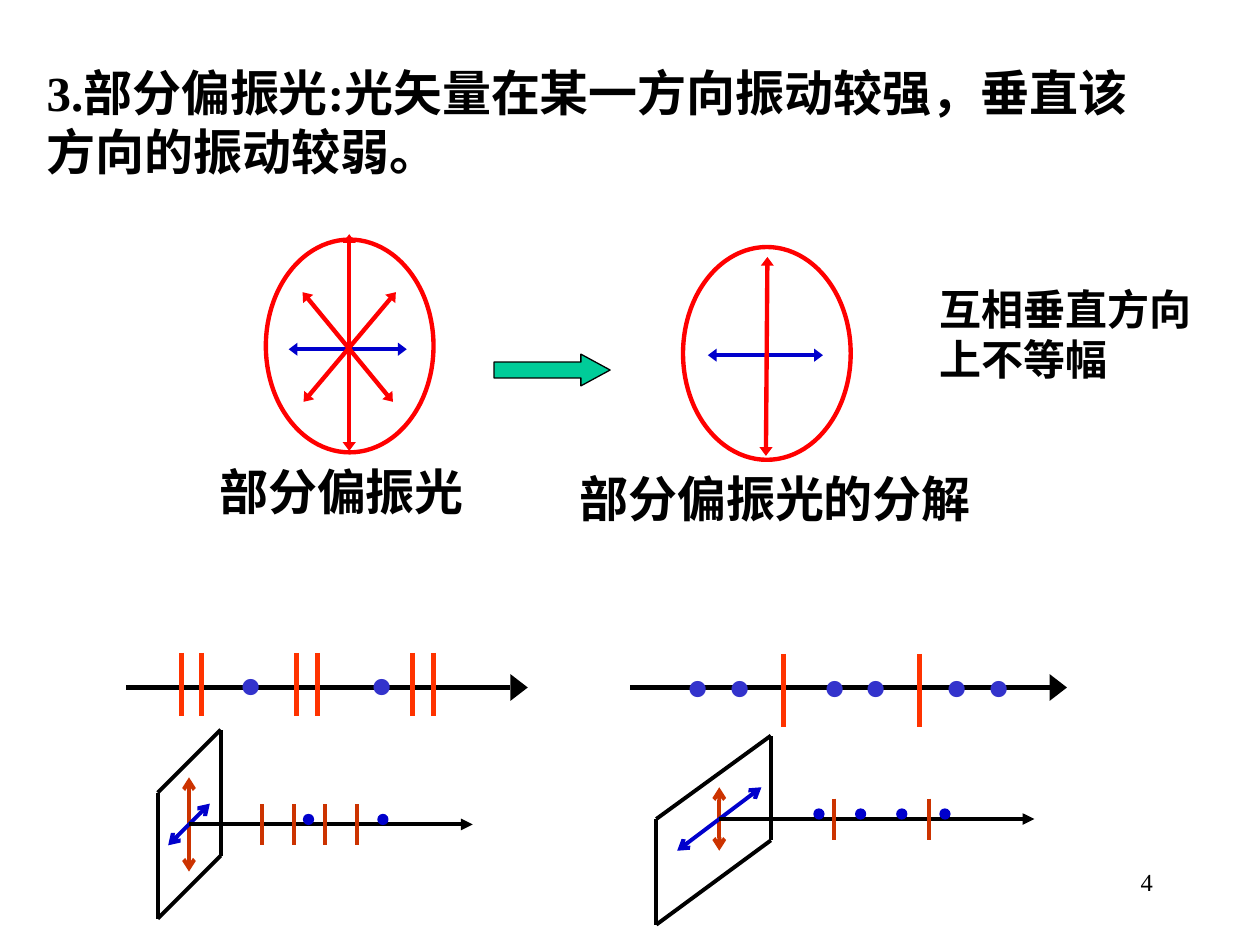
"""Build a slide on partially polarized light and its decomposition."""
from lxml import etree
from pptx import Presentation
from pptx import util as u
from pptx.dml.color import RGBColor
from pptx.enum import shapes, text
from pptx.oxml import ns

COLORS = {
    "black": "000000", "red": "FF0000", "blue": "0000CC", "violet": "3333CC",
    "orange": "FF3300", "rust": "CC3300", "green": "00CC99",
}
LATIN = "Times New Roman"
CHINESE = "Noto Sans CJK SC"


def rgb(color):
    return RGBColor.from_string(COLORS[color])


def add_line(slide, start, end, color, width, ends="", head="triangle", length="med"):
    """Draw a line; ends may name headEnd and tailEnd."""
    line = slide.shapes.add_connector(
        shapes.MSO_CONNECTOR.STRAIGHT, *(u.Cm(v) for v in (*start, *end)))
    line.line.color.rgb = rgb(color)
    line.line.width = u.Pt(width)
    for end_name in ends.split():
        etree.SubElement(line.get_or_add_ln(), ns.qn(f"a:{end_name}"),
                         type=head, w="med", len=length)
    etree.SubElement(line._element.spPr, ns.qn("a:effectLst"))


def add_vector(slide, start, end, color):
    add_line(slide, start, end, color, 2.5, "headEnd tailEnd", length="sm")


def add_ticks(slide, positions, top, bottom, color, width):
    for x in positions:
        add_line(slide, (x, top), (x, bottom), color, width)


def add_preset(slide, kind, box, fill=None, outline="black", width=0.75):
    preset = slide.shapes.add_shape(kind, *(u.Cm(v) for v in box))
    preset.shadow.inherit = False
    if fill:
        preset.fill.solid()
        preset.fill.fore_color.rgb = rgb(fill)
    else:
        preset.fill.background()
    preset.line.color.rgb = rgb(outline)
    preset.line.width = u.Pt(width)
    return preset


def add_polygon(slide, points):
    start, *others = [(u.Cm(x), u.Cm(y)) for x, y in points]
    builder = slide.shapes.build_freeform(*start)
    builder.add_line_segments(others, close=True)
    polygon = builder.convert_to_shape()
    polygon.shadow.inherit = False
    polygon.fill.solid()
    polygon.fill.fore_color.rgb = rgb("black")
    polygon.line.fill.background()


def add_text(slide, box, words, size, color="black", bold=True, latin=LATIN,
             chinese=True, align=text.PP_ALIGN.LEFT, wrap=True):
    """Add a one-paragraph text box; an unwrapped one has no insets."""
    frame = slide.shapes.add_textbox(*(u.Cm(v) for v in box)).text_frame
    frame.word_wrap = wrap
    if not wrap:
        frame.margin_left = frame.margin_right = 0
        frame.margin_top = frame.margin_bottom = 0
    paragraph = frame.paragraphs[0]
    paragraph.text = words
    paragraph.alignment = align
    font = paragraph.font
    font.size, font.bold, font.name = u.Pt(size), bold, latin
    font.color.rgb = rgb(color)
    if chinese:
        properties = paragraph._p.get_or_add_pPr().get_or_add_defRPr()
        etree.SubElement(properties, ns.qn("a:ea"), typeface=CHINESE)


def add_light_circle(slide, left, top):
    add_preset(slide, shapes.MSO_SHAPE.OVAL, (left, top, 3.38, 4.29),
               outline="red", width=2.5)


def add_beam(slide, left, right, dots, dot_top, ticks, tick_top, tick_bottom):
    """Draw a thick ray with dots and ticks for its two vibrations."""
    axis = 13.86
    add_polygon(slide, [(left, axis - 0.06), (left, axis + 0.06),
                        (right, axis + 0.06), (right, axis - 0.06)])
    add_polygon(slide, [(right, axis + 0.27), (right + 0.35, axis), (right, axis - 0.27)])
    for x in dots:
        add_text(slide, (x, dot_top, 0.66, 2.41), "·", 57, "violet",
                 chinese=False, wrap=False)
    add_ticks(slide, ticks, tick_top, tick_bottom, "orange", 3)


def add_wavefront(slide, corners, center, reach, oblique, axis_end, ticks, dots):
    """Draw a tilted plane, its two vibrations and the ray leaving it."""
    for start, end in zip(corners, corners[1:] + corners[:1]):
        add_line(slide, start, end, "black", 2.25)
    x, y = center
    run, rise = oblique
    both = "headEnd tailEnd"
    add_line(slide, (x, y - reach), (x, y + reach), "rust", 2.25, both, "arrow")
    add_line(slide, (x + run, y - rise), (x - run, y + rise), "blue", 2.25, both, "arrow")
    add_line(slide, center, (axis_end, y), "black", 2.25, "tailEnd")
    add_ticks(slide, ticks, y - 0.41, y + 0.42, "rust", 2.25)
    for left in dots:
        add_preset(slide, shapes.MSO_SHAPE.OVAL, (left, y - 0.2, 0.2, 0.2), "blue", "blue")


def main():
    deck = Presentation()
    deck.slide_width, deck.slide_height = u.Cm(25.4), u.Cm(19.05)
    slide = deck.slides.add_slide(deck.slide_layouts[6])

    add_text(slide, (0.69, 1.14, 23.06, 2.64),
             "3.部分偏振光:光矢量在某一方向振动较强，垂直该方向的振动较弱。", 28)

    add_vector(slide, (5.82, 7.04), (8.2, 7.04), "blue")
    for start, end in (((7.04, 4.72), (7.04, 9.09)),
                       ((6.12, 8.1), (7.98, 5.89)),
                       ((7.92, 8.1), (6.1, 5.89))):
        add_vector(slide, start, end, "red")
    add_light_circle(slide, 5.36, 4.83)

    add_vector(slide, (14.27, 7.16), (16.59, 7.16), "blue")
    add_vector(slide, (15.47, 5.18), (15.44, 9.19), "red")
    add_light_circle(slide, 13.77, 4.98)

    for box, caption in (((4.17, 9.17, 5.92, 1.57), "部分偏振光"),
                         ((11.43, 9.32, 9.09, 1.57), "部分偏振光的分解")):
        add_text(slide, box, caption, 28, latin=CHINESE, align=text.PP_ALIGN.JUSTIFY)

    becomes = add_preset(slide, shapes.MSO_SHAPE.RIGHT_ARROW,
                         (9.96, 7.14, 2.34, 0.64), "green")
    becomes.adjustments[1] = 0.92
    add_text(slide, (18.69, 5.59, 6.2, 2.29), "互相垂直方向上不等幅", 24)

    add_beam(slide, 2.54, 10.29, (4.72, 7.37), 12.52,
             (3.66, 4.06, 5.97, 6.4, 8.31, 8.74), 13.16, 14.43)
    add_beam(slide, 12.7, 21.16, (13.74, 14.58, 16.51, 17.32, 18.97, 19.81), 12.55,
             (15.8, 18.54), 13.18, 14.66)

    add_wavefront(slide, [(4.45, 14.71), (3.18, 15.98), (3.18, 18.52), (4.45, 17.25)],
                  (3.81, 16.62), 0.95, (0.42, 0.42), 9.53,
                  (5.28, 5.92, 6.55, 7.19), (6.12, 7.62))
    add_wavefront(slide, [(15.54, 14.83), (13.23, 16.51), (13.23, 18.64), (15.54, 16.94)],
                  (14.5, 16.51), 0.64, (0.85, 0.64), 20.85,
                  (16.81, 18.72), (16.41, 17.25, 18.08, 18.95))

    add_text(slide, (18.21, 17.35, 5.28, 1.27), "4", 14, bold=False,
             chinese=False, align=text.PP_ALIGN.RIGHT)
    deck.save("out.pptx")


if __name__ == "__main__":
    main()
